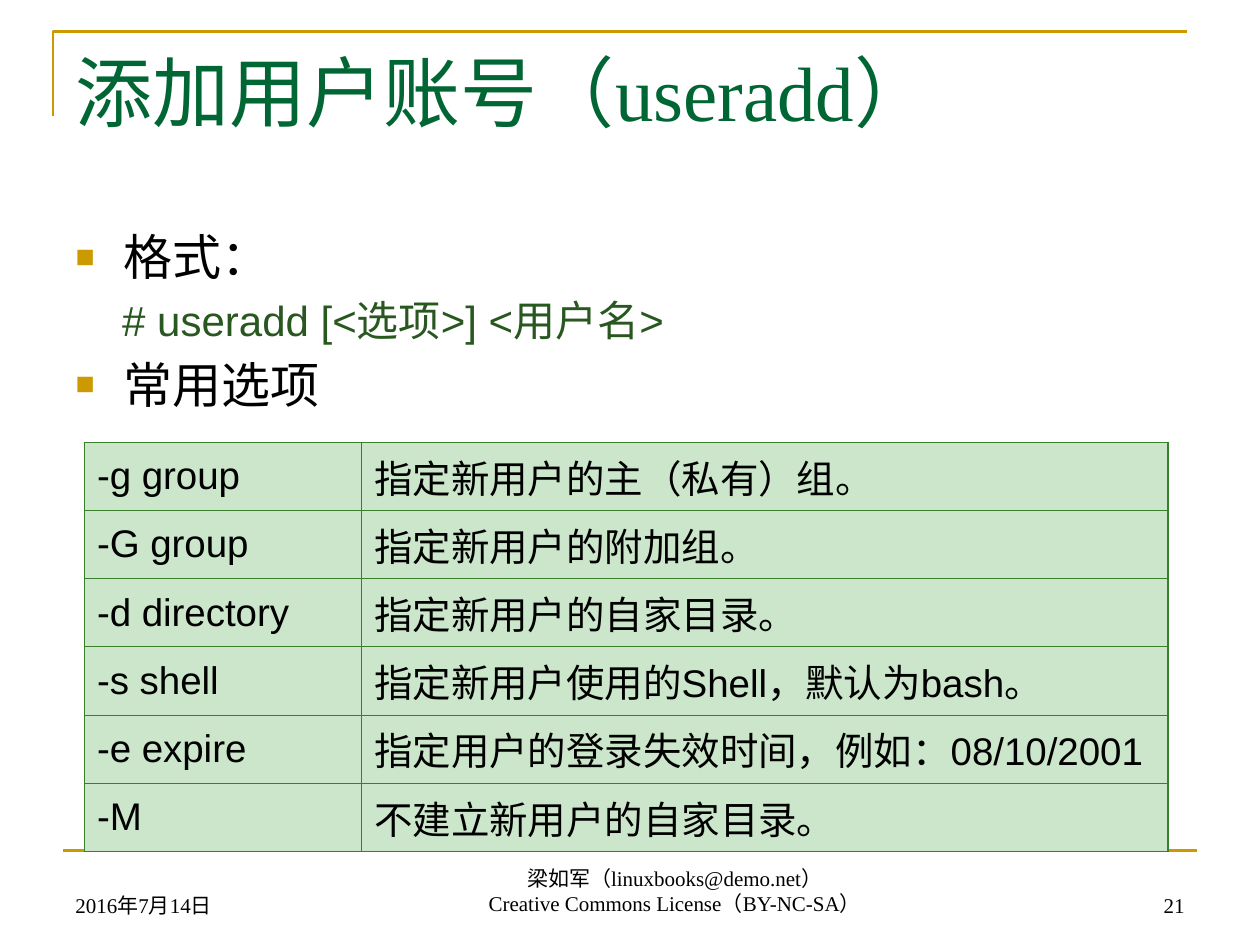
from dataclasses import dataclass

from lxml import etree
from pptx import Presentation
from pptx.dml.color import RGBColor
from pptx.enum.shapes import MSO_CONNECTOR
from pptx.enum.text import MSO_ANCHOR, MSO_AUTO_SIZE, PP_ALIGN
from pptx.oxml.ns import qn
from pptx.util import Inches, Pt

TOP, MIDDLE, BOTTOM = MSO_ANCHOR.TOP, MSO_ANCHOR.MIDDLE, MSO_ANCHOR.BOTTOM
LEFT, CENTER, RIGHT, JUSTIFY = PP_ALIGN.LEFT, PP_ALIGN.CENTER, PP_ALIGN.RIGHT, PP_ALIGN.JUSTIFY
STRAIGHT = MSO_CONNECTOR.STRAIGHT
NO_FIT = MSO_AUTO_SIZE.NONE


@dataclass(frozen=True)
class Theme:
    """Colours, fonts and type sizes of the slide."""
    gold: str = "CC9900"
    title: str = "006633"
    text: str = "000000"
    command: str = "285720"
    cell: str = "CBE6CA"
    border: str = "38802C"
    serif: str = "Times New Roman"
    sans: str = "Arial"
    title_pt: int = 44
    item_pt: int = 28
    command_pt: int = 24
    cell_pt: int = 22
    footer_pt: int = 12
    rule_pt: float = 1.5
    border_pt: float = 0.75


THEME = Theme()

OPTIONS = [
    ("-g group", "指定新用户的主（私有）组。"),
    ("-G group", "指定新用户的附加组。"),
    ("-d directory", "指定新用户的自家目录。"),
    ("-s shell", "指定新用户使用的Shell，默认为bash。"),
    ("-e expire", "指定用户的登录失效时间，例如：08/10/2001"),
    ("-M", "不建立新用户的自家目录。"),
]
ITEMS = [
    ("格式：", 0),
    ("# useradd [<选项>] <用户名>", 1),
    ("常用选项", 0),
]
FOOTERS = [
    ((0.5, 6.83, 2.33, 0.5), ["2016年7月14日"], LEFT),
    ((2.4, 6.82, 5.91, 0.5), ["梁如军（linuxbooks@demo.net）", "Creative Commons License（BY-NC-SA）"], CENTER),
    ((7.17, 6.83, 2.33, 0.5), ["21"], RIGHT),
]


def apply(obj, **values):
    """Set each given attribute on the object."""
    for name, value in values.items():
        setattr(obj, name, value)


def place(sp, box):
    """Move a shape to a box given in inches."""
    apply(sp, **dict(zip(("left", "top", "width", "height"), map(Inches, box))))


def add_text(p, text, name, size, color):
    """Add one formatted run to a paragraph."""
    r = p.add_run()
    r.text = text
    apply(r.font, name=name, size=Pt(size))
    r.font.color.rgb = RGBColor.from_string(color)


def set_indent(p, margin, indent):
    """Set the left margin and first-line indent in inches."""
    pPr = p._p.get_or_add_pPr()
    pPr.set("marL", str(Inches(margin)))
    pPr.set("indent", str(Inches(indent)))
    return pPr


def set_bullet(p):
    """Give a paragraph the gold square bullet."""
    pPr = set_indent(p, 0.38, -0.38)
    clr = etree.SubElement(pPr, qn("a:buClr"))
    etree.SubElement(clr, qn("a:srgbClr"), val=THEME.gold)
    etree.SubElement(pPr, qn("a:buSzPct"), val="65000")
    etree.SubElement(pPr, qn("a:buFont"), typeface=THEME.sans)
    etree.SubElement(pPr, qn("a:buChar"), char="■")


def set_borders(cell):
    """Draw a thin line on all four sides of a cell."""
    tcPr = cell._tc.get_or_add_tcPr()
    for side in ("lnL", "lnR", "lnT", "lnB"):
        ln = etree.SubElement(tcPr, qn(f"a:{side}"), w=str(Pt(THEME.border_pt)))
        fill = etree.SubElement(ln, qn("a:solidFill"))
        etree.SubElement(fill, qn("a:srgbClr"), val=THEME.border)


def set_rule(line):
    """Format a gold frame rule."""
    line.color.rgb = RGBColor.from_string(THEME.gold)
    line.width = Pt(THEME.rule_pt)


def add_corner(s, box):
    """Draw the open corner along the left and top of the box."""
    x, y, w, h = map(Inches, box)
    fb = s.shapes.build_freeform(x, y + h)
    fb.add_line_segments([(x, y), (x + w, y)], close=False)
    sp = fb.convert_to_shape()
    sp.shadow.inherit = False
    sp.fill.background()
    set_rule(sp.line)


def add_rule(s, box):
    """Draw the rule along the top of the box."""
    x, y, w, _ = map(Inches, box)
    cn = s.shapes.add_connector(STRAIGHT, x, y, x + w, y)
    etree.SubElement(cn._element.spPr, qn("a:effectLst"))
    set_rule(cn.line)


def add_title(s, box):
    """Fill the title placeholder."""
    sp = s.shapes.title
    place(sp, box)
    tf = sp.text_frame
    apply(tf, vertical_anchor=TOP, word_wrap=True, auto_size=NO_FIT)
    p = tf.paragraphs[0]
    p.alignment = LEFT
    add_text(p, "添加用户账号（useradd）", THEME.serif, THEME.title_pt, THEME.title)


def add_body(s, box):
    """Fill the body placeholder with the bulleted list."""
    sp = s.placeholders[1]
    place(sp, box)
    tf = sp.text_frame
    apply(tf, vertical_anchor=TOP, word_wrap=True, auto_size=NO_FIT)
    for i, (text, level) in enumerate(ITEMS):
        p = tf.add_paragraph() if i else tf.paragraphs[0]
        size, color = (THEME.command_pt, THEME.command) if level else (THEME.item_pt, THEME.text)
        apply(p, level=level, space_before=Pt(0.2 * size if i else 0))
        if level:
            etree.SubElement(set_indent(p, 0.73, -0.36), qn("a:buNone"))
        else:
            set_bullet(p)
        add_text(p, text, THEME.sans, size, color)


def add_options(s, box):
    """Build the table of options."""
    tbl = s.shapes.add_table(len(OPTIONS), 2, *map(Inches, box)).table
    apply(tbl, first_row=False, horz_banding=False)
    for col, width in zip(tbl.columns, (2.2, box[2] - 2.2)):
        col.width = Inches(width)
    for i, row in enumerate(OPTIONS):
        for j, text in enumerate(row):
            cell = tbl.cell(i, j)
            set_borders(cell)
            cell.fill.solid()
            cell.fill.fore_color.rgb = RGBColor.from_string(THEME.cell)
            cell.vertical_anchor = MIDDLE
            p = cell.text_frame.paragraphs[0]
            p.alignment = JUSTIFY
            set_indent(p, 0.38, -0.38)
            add_text(p, text, THEME.sans, THEME.cell_pt, THEME.text)


def add_footer(s, box, lines, align):
    """Add one footer text at the bottom of its box."""
    tf = s.shapes.add_textbox(*map(Inches, box)).text_frame
    apply(tf, word_wrap=True, vertical_anchor=BOTTOM)
    for i, text in enumerate(lines):
        p = tf.add_paragraph() if i else tf.paragraphs[0]
        p.alignment = align
        add_text(p, text, THEME.serif, THEME.footer_pt, THEME.text)


def main():
    """Build and save the slide."""
    prs = Presentation()
    apply(prs, slide_width=Inches(10), slide_height=Inches(7.5))
    s = prs.slides.add_slide(prs.slide_layouts[1])
    add_corner(s, (0.42, 0.25, 9, 0.67))
    add_rule(s, (0.5, 6.75, 9, 0))
    add_title(s, (0.5, 0.3, 9, 1.25))
    add_body(s, (0.5, 1.75, 9, 1.61))
    for box, lines, align in FOOTERS:
        add_footer(s, box, lines, align)
    add_options(s, (0.67, 3.51, 8.6, 3.25))
    prs.save("out.pptx")


if __name__ == "__main__":
    main()
